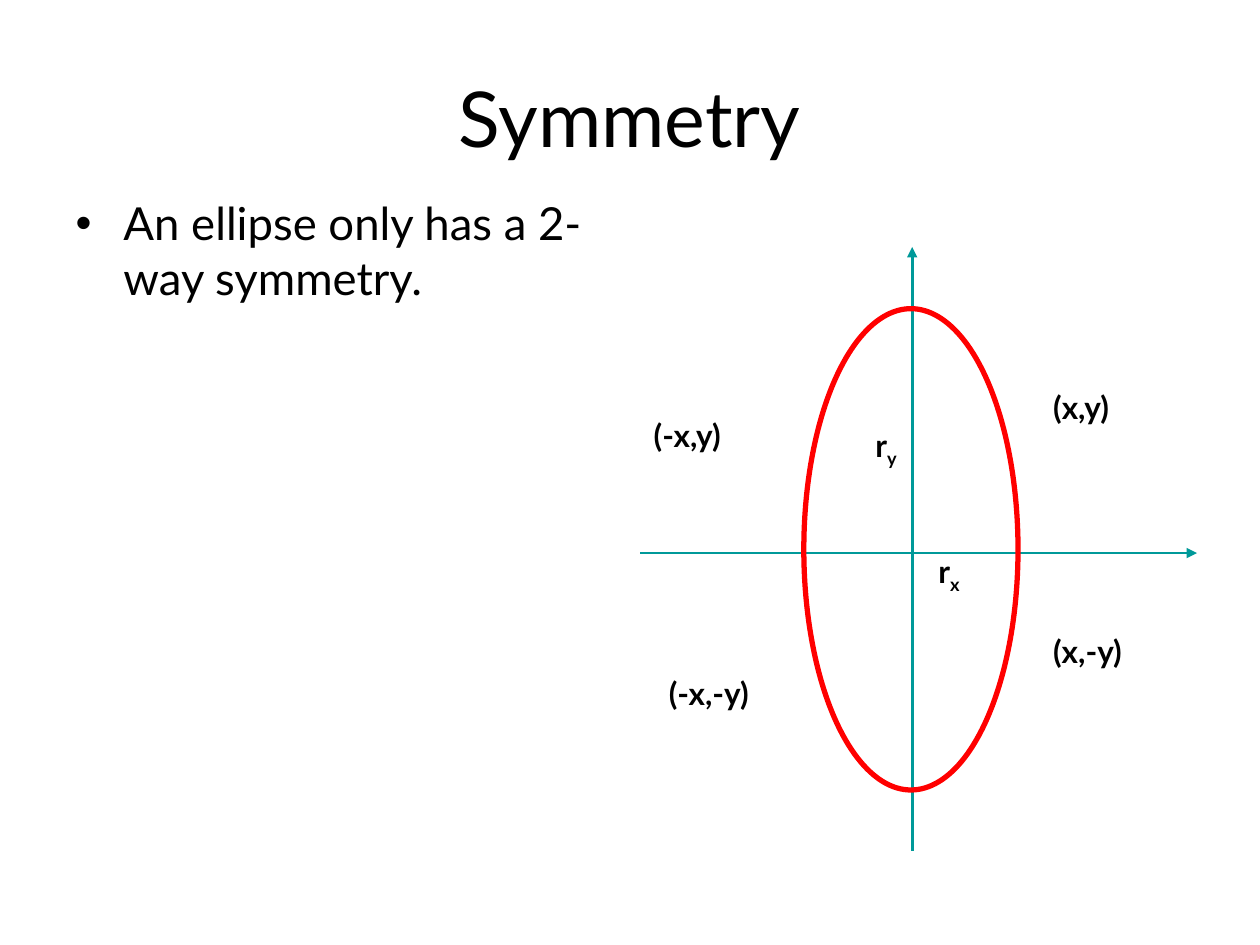
from lxml.etree import SubElement
from pptx import Presentation
from pptx.dml.color import RGBColor
from pptx.enum.shapes import MSO_CONNECTOR, MSO_SHAPE
from pptx.enum.text import MSO_ANCHOR, MSO_AUTO_SIZE, PP_ALIGN
from pptx.oxml.ns import qn
from pptx.util import Inches, Pt

FONT = "Lato"
BLACK, TEAL, RED = "000000", "009999", "FF0000"


def color(hex_code):
    return RGBColor.from_string(hex_code)


def add_text(paragraph, text, size=18, bold=False, hex_code=BLACK, baseline=None):
    run = paragraph.add_run()
    run.text = text
    run.font.name, run.font.size, run.font.bold = FONT, Pt(size), bold
    run.font.color.rgb = color(hex_code)
    if baseline is not None:
        run.font._element.set("baseline", str(baseline * 1000))


def place(part, left, top, width, height):
    part.left, part.top = Inches(left), Inches(top)
    part.width, part.height = Inches(width), Inches(height)


def fill_title(title, box, text):
    place(title, *box)
    frame = title.text_frame
    frame.vertical_anchor = MSO_ANCHOR.MIDDLE
    frame.auto_size = MSO_AUTO_SIZE.NONE
    frame.paragraphs[0].alignment = PP_ALIGN.CENTER
    add_text(frame.paragraphs[0], text, size=44)


def fill_body(body, box, text):
    place(body, *box)
    frame = body.text_frame
    frame.auto_size = MSO_AUTO_SIZE.NONE
    paragraph = frame.paragraphs[0]
    paragraph.space_before = Pt(0)
    properties = paragraph._p.get_or_add_pPr()
    properties.set("marL", str(Inches(0.38)))
    properties.set("indent", str(Inches(-0.38)))
    SubElement(properties, qn("a:buFont"), typeface="Arial")
    SubElement(properties, qn("a:buChar"), char="•")
    add_text(paragraph, text, size=26)


def add_axis(group, start, end):
    axis = group.shapes.add_connector(
        MSO_CONNECTOR.STRAIGHT, *(Inches(value) for value in start + end))
    axis.line.color.rgb = color(TEAL)
    axis.line.width = Pt(1.5)
    SubElement(axis.line._get_or_add_ln(), qn("a:tailEnd"), type="triangle")
    SubElement(axis._element.spPr, qn("a:effectLst"))


def add_label(group, left, top, width, text, subscript=None):
    label = group.shapes.add_textbox(
        Inches(left), Inches(top), Inches(width), Inches(0.4))
    frame = label.text_frame
    frame.word_wrap = False
    frame.auto_size = MSO_AUTO_SIZE.SHAPE_TO_FIT_TEXT
    add_text(frame.paragraphs[0], text, bold=True)
    if subscript:
        add_text(frame.paragraphs[0], subscript, bold=True, baseline=-25)


def draw_ellipse_diagram(slide, box):
    left, top, width, height = box
    center_x, center_y = left + 2.16, top + 2.43
    group = slide.shapes.add_group_shape()

    # Axes, each pointing in its positive direction
    add_axis(group, (center_x, top + height), (center_x, top))
    add_axis(group, (left, center_y), (left + width, center_y))

    # Ellipse
    ellipse = group.shapes.add_shape(
        MSO_SHAPE.OVAL, Inches(left + 1.3), Inches(top + 0.49),
        Inches(1.7), Inches(3.82))
    ellipse.shadow.inherit = False
    ellipse.fill.background()
    ellipse.line.color.rgb = color(RED)
    ellipse.line.width = Pt(3)

    # Symmetric points and radii, as offsets from the box corner
    labels = [
        (3.18, 1.07, 0.75, "(x,y)"),
        (3.18, 3.01, 0.84, "(x,-y)"),
        (0.01, 1.29, 0.84, "(-x,y)"),
        (0.13, 3.34, 0.93, "(-x,-y)"),
        (2.27, 2.37, 0.4, "r", "x"),
        (1.77, 1.37, 0.4, "r", "y"),
    ]
    for offset_x, offset_y, *content in labels:
        add_label(group, left + offset_x, top + offset_y, *content)


def main():
    presentation = Presentation()
    presentation.slide_width, presentation.slide_height = Inches(10), Inches(7.5)
    slide = presentation.slides.add_slide(presentation.slide_layouts[1])
    fill_title(slide.shapes.title, (0.5, 0.3, 9, 1.25), "Symmetry")
    fill_body(slide.placeholders[1], (0.5, 1.5, 4.42, 5.75),
              "An ellipse only has a 2-way symmetry.")
    draw_ellipse_diagram(slide, (5.08, 1.96, 4.42, 4.79))
    presentation.save("out.pptx")


if __name__ == "__main__":
    main()
